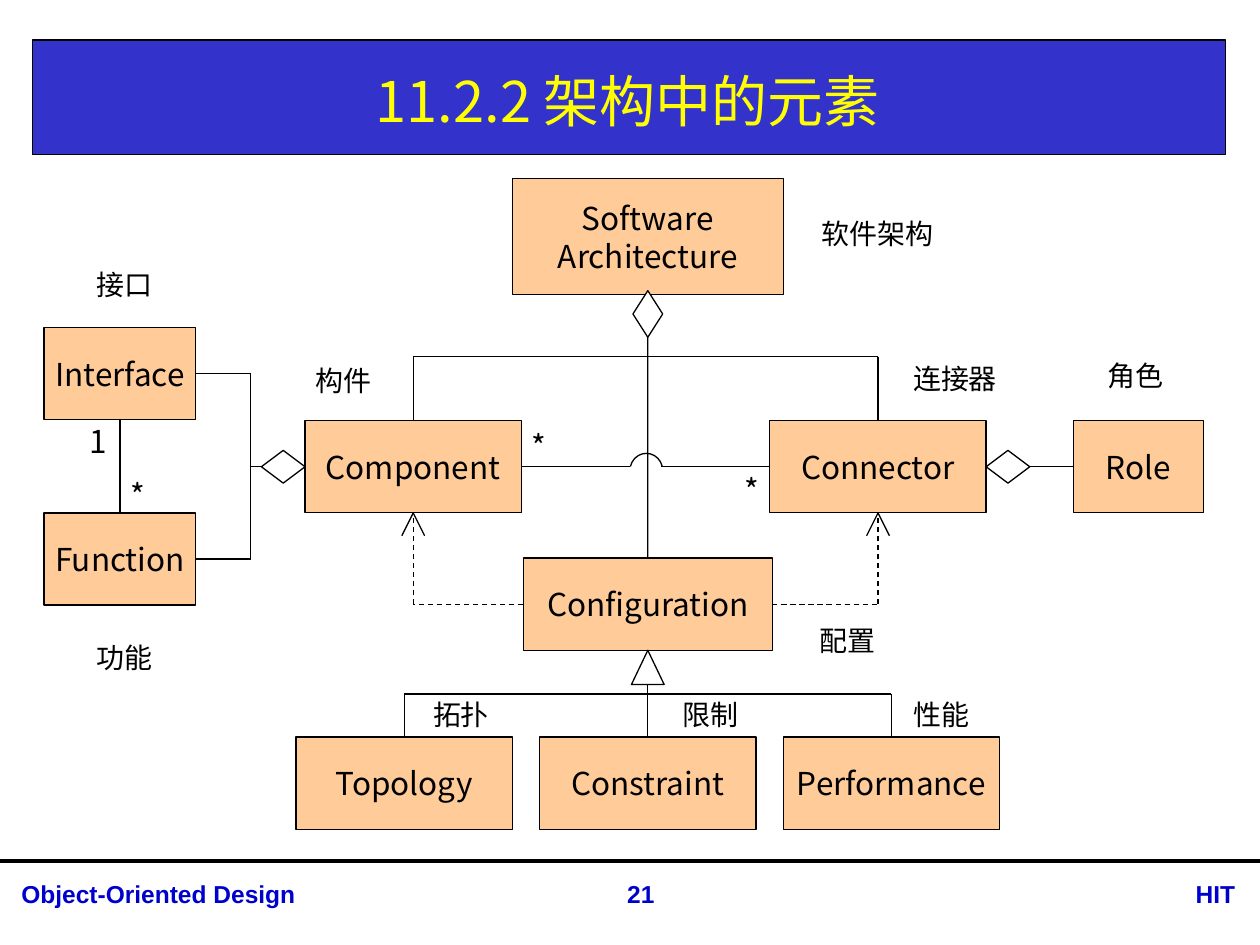
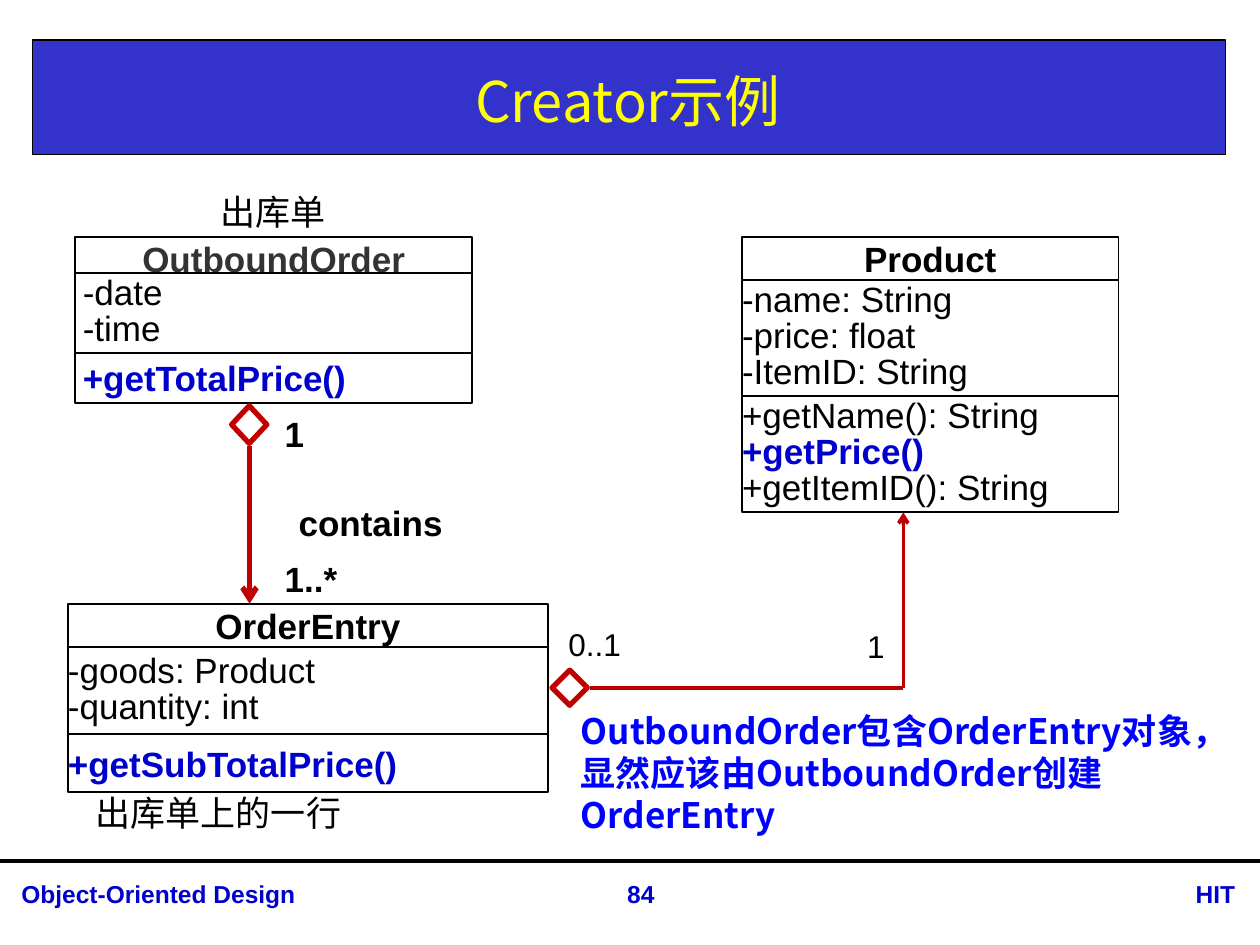
import pptx
import pptx.dml.color
import pptx.enum.dml
import pptx.enum.shapes
import pptx.enum.text
import pptx.oxml.ns
import pptx.util
from lxml import etree

Cm, Pt, qn = pptx.util.Cm, pptx.util.Pt, pptx.oxml.ns.qn
SHAPE = pptx.enum.shapes.MSO_SHAPE
ALIGN = pptx.enum.text.PP_ALIGN
ANCHOR = pptx.enum.text.MSO_ANCHOR

# ---- Shared style ----
COLORS = {"band": "3333CC", "title": "FFFF00", "footer": "0000CC", "ink": "000000",
          "box": "FFCC99", "white": "FFFFFF", "grey": "333333", "method": "0000CC",
          "note": "0000FF", "link": "C00000"}
SANS, CJK = "Arial", "Noto Sans CJK SC"
TOP, LEFT, BOTTOM, RIGHT = range(4)

# ---- Footer: text, left, width, alignment ----
FOOTER_TOP = 17.6
FOOTER = [("Object-Oriented Design", 0.18, 11.76, ALIGN.LEFT),
          ("HIT", 22.53, 2.62, ALIGN.RIGHT),
          ("{number}", 11.61, 2.62, ALIGN.CENTER)]

# ---- Architecture elements: left, top, width, height ----
BOX_H, PART_W = 1.86, 4.36
ELEMENTS = {
    "Software\nArchitecture": (10.33, 3.6, 5.46, 2.34),
    "Component": (6.15, 8.48, PART_W, BOX_H),
    "Connector": (15.52, 8.48, PART_W, BOX_H),
    "Interface": (0.89, 6.6, 3.06, BOX_H),
    "Function": (0.89, 10.34, 3.06, BOX_H),
    "Role": (21.64, 8.48, 2.62, BOX_H),
    "Configuration": (10.55, 11.25, 5.02, BOX_H),
}
for i, kind in enumerate(["Topology", "Constraint", "Performance"]):
    ELEMENTS[kind] = (5.97 + 4.91 * i, 14.86, PART_W, BOX_H)

# Routes: points are (x, y) or (element, side)
AXIS, PARTS_Y, KINDS_Y, PORTS_X = 13.06, 7.19, 13.99, 5.05
ROUTES = [
    [("Component", TOP), (8.33, PARTS_Y), (17.7, PARTS_Y), ("Connector", TOP)],
    [("Software\nArchitecture", BOTTOM), ("Configuration", TOP)],
    [("Interface", RIGHT), (PORTS_X, 7.53), (PORTS_X, 11.27), ("Function", RIGHT)],
    [(PORTS_X, 9.41), ("Component", LEFT)],
    [("Interface", BOTTOM), ("Function", TOP)],
    [(20.76, 9.41), ("Role", LEFT)],
    [("Component", RIGHT), (12.7, 9.41)],
    [(13.33, 9.41), ("Connector", LEFT)],
    [("Topology", TOP), (8.15, KINDS_Y), (17.97, KINDS_Y), ("Performance", TOP)],
    [("Configuration", BOTTOM), ("Constraint", TOP)],
]
DEPENDENCIES = [
    [("Configuration", LEFT), (8.33, 12.18), ("Component", BOTTOM)],
    [("Configuration", RIGHT), (17.7, 12.18), ("Connector", BOTTOM)],
]
MARKERS = [(SHAPE.ISOSCELES_TRIANGLE, (12.73, 13.11, 0.66, 0.69)),
           (SHAPE.DIAMOND, (12.76, 5.86, 0.6, 0.94)),
           (SHAPE.DIAMOND, (5.27, 9.08, 0.88, 0.66)),
           (SHAPE.DIAMOND, (19.88, 9.08, 0.88, 0.66))]
MULTIPLICITIES = [("1", 1.55, 8.38), ("*", 2.39, 9.47), ("*", 10.46, 8.48), ("*", 14.76, 9.37)]
TRANSLATIONS = [
    ("软件架构", 16.31, 4.24), ("接口", 1.7, 5.26), ("功能", 1.7, 12.78),
    ("构件", 6.12, 7.19), ("连接器", 18.16, 7.16), ("角色", 22.07, 7.09),
    ("配置", 16.28, 12.45), ("拓扑", 8.48, 13.94), ("限制", 13.51, 13.94),
    ("性能", 18.16, 13.94),
]

# ---- Classes: left, width, body insets, name colour, sections (top, height, lines) ----
CLASSES = [
    (14.96, 7.59, (0, 0.08), "ink", [
        (4.78, 0.86, ["Product"]),
        (5.64, 2.34, ["-name: String", "-price: float", "-ItemID: String"]),
        (7.98, 2.34, ["+getName(): String", "+getPrice()", "+getItemID(): String"])]),
    (1.52, 8, (0.15, 0.08), "grey", [
        (4.78, 0.86, ["OutboundOrder"]),
        (5.51, 1.6, ["-date", "-time"]),
        (7.11, 1.02, ["+getTotalPrice()"])]),
    (1.37, 9.68, (0, 0.15), "ink", [
        (12.17, 0.88, ["OrderEntry"]),
        (13.05, 1.75, ["-goods: Product", "-quantity: int"]),
        (14.8, 1.17, ["+getSubTotalPrice()"])]),
]
KEY_METHODS = {"+getPrice()", "+getTotalPrice()", "+getSubTotalPrice()"}
# text, position, size, bold
ROLE_LABELS = [
    ("1", (5.74, 8.31, 0.71, 0.86), 20, True),
    ("contains", (6.02, 10.11, 4.11, 1.09), 20, True),
    ("1..*", (5.74, 11.23, 2.57, 1.3), 20, True),
    ("0..1", (11.46, 12.6, 2.41, 1.02), 18, False),
    ("1", (17.48, 12.65, 0.74, 0.99), 18, False),
]
CAPTIONS = [("出库单", (4.19, 3.71, 3.07, 1.12)), ("出库单上的一行", (1.68, 15.82, 5.51, 1.12))]
NOTE = "OutboundOrder包含OrderEntry对象，显然应该由OutboundOrder创建OrderEntry"


def rgb(name):
    return pptx.dml.color.RGBColor.from_string(COLORS[name])


def style(r, size, color="ink", bold=False, font=SANS):
    r.font.size, r.font.bold, r.font.name = Pt(size), bold, font
    r.font.color.rgb = rgb(color)
    etree.SubElement(r.font._element, qn("a:ea")).set("typeface", font)


def write(sp, text, size, color="ink", bold=False, font=SANS, align=ALIGN.LEFT,
          anchor=ANCHOR.TOP, insets=(0.25, 0.13), wrap=True):
    tf = sp.text_frame
    tf.text = text
    tf.word_wrap, tf.vertical_anchor = wrap, anchor
    tf.auto_size = pptx.enum.text.MSO_AUTO_SIZE.NONE
    tf.margin_left = tf.margin_right = Cm(insets[0])
    tf.margin_top = tf.margin_bottom = Cm(insets[1])
    for p in tf.paragraphs:
        p.alignment = align
        for r in p.runs:
            style(r, size, color, bold, font)
    return tf


def add_text(s, text, at, size, **options):
    return write(s.shapes.add_textbox(*map(Cm, at)), text, size, **options)


def add_box(s, at, fill, kind=SHAPE.RECTANGLE, line="ink", width=0.75):
    sp = s.shapes.add_shape(kind, *map(Cm, at))
    sp.shadow.inherit = False
    sp.fill.solid()
    sp.fill.fore_color.rgb = rgb(fill)
    if line:
        sp.line.color.rgb, sp.line.width = rgb(line), Pt(width)
    else:
        sp.line.fill.background()
    return sp


def side_point(name, side):
    x, y, w, h = ELEMENTS[name]
    return [(x + w / 2, y), (x, y + h / 2), (x + w / 2, y + h), (x + w, y + h / 2)][side]


def add_route(s, points, boxes=None, color="ink", width=0.75, dashed=False, arrow=False):
    """Join the points with straight lines, glued to any boxes they name."""
    for start, end in zip(points, points[1:]):
        ends = [side_point(*pt) if isinstance(pt[0], str) else pt for pt in (start, end)]
        cn = s.shapes.add_connector(pptx.enum.shapes.MSO_CONNECTOR.STRAIGHT,
                                    *[Cm(v) for pt in ends for v in pt])
        if isinstance(start[0], str):
            cn.begin_connect(boxes[start[0]], start[1])
        if isinstance(end[0], str):
            cn.end_connect(boxes[end[0]], end[1])
        cn.line.color.rgb, cn.line.width = rgb(color), Pt(width)
        if dashed:
            cn.line.dash_style = pptx.enum.dml.MSO_LINE.DASH
        if arrow and end is points[-1]:
            etree.SubElement(cn.line._get_or_add_ln(), qn("a:tailEnd")).set("type", "arrow")
        etree.SubElement(cn._element.spPr, qn("a:effectLst"))


def add_slide(prs, title, number):
    s = prs.slides.add_slide(prs.slide_layouts[5])
    add_box(s, (0.66, 0.81, 24.05, 2.31), "band")
    add_route(s, [(0, 17.35), (25.4, 17.35)], width=2.25)
    for text, left, width, align in FOOTER:
        add_text(s, text.format(number=number), (left, FOOTER_TOP, width, 0.86), 14,
                 color="footer", bold=True, align=align)
    sp = s.shapes.title
    sp.left, sp.top, sp.width, sp.height = map(Cm, (0.66, 0.91, 24, 2.21))
    write(sp, title, 32, color="title", font=CJK, align=ALIGN.CENTER, anchor=ANCHOR.MIDDLE)
    s.shapes.element.append(sp._element)  # bring the title in front of its band
    return s


def build_architecture(prs):
    s = add_slide(prs, "11.2.2 架构中的元素", 21)
    # Line hop: a circle whose lower half is covered
    add_box(s, (12.7, 9.14, 0.66, 0.69), "white", SHAPE.OVAL)
    add_box(s, (12.47, 9.41, 1.32, 0.92), "white", line=None)
    # Elements and their relations
    boxes = {}
    for name, at in ELEMENTS.items():
        boxes[name] = add_box(s, at, "box")
        write(boxes[name], name, 18, font=CJK, align=ALIGN.CENTER,
              anchor=ANCHOR.MIDDLE, wrap=False)
    for points in ROUTES:
        add_route(s, points, boxes)
    for points in DEPENDENCIES:
        add_route(s, points, boxes, dashed=True)
        x, y = side_point(*points[-1])
        add_route(s, [(x - 0.23, y + 0.46), (x, y), (x + 0.23, y + 0.46)])
    for kind, at in MARKERS:
        add_box(s, at, "white", kind)
    # Labels
    for text, x, y in MULTIPLICITIES:
        add_text(s, text, (x, y, 1.24, 1.02), 18, font=CJK)
    for text, x, y in TRANSLATIONS:
        add_text(s, text, (x, y, 0.51 + 0.57 * len(text), 0.94), 16, font=CJK, wrap=False)


def build_creator(prs):
    s = add_slide(prs, "Creator示例", 84)
    # Class boxes
    for left, width, insets, name_color, sections in CLASSES:
        for i, (top, height, lines) in enumerate(sections):
            sp = add_box(s, (left, top, width, height), "white", width=1)
            if i == 0:
                write(sp, lines[0], 20, color=name_color, bold=True, align=ALIGN.CENTER,
                      anchor=ANCHOR.MIDDLE, insets=(0, 0))
                continue
            tf = write(sp, "\n".join(lines), 20, anchor=ANCHOR.MIDDLE, insets=insets)
            for p in tf.paragraphs:
                if len(lines) > 1:
                    p.line_spacing = 0.85
                if p.text in KEY_METHODS:
                    p.runs[0].font.bold = True
                    p.runs[0].font.color.rgb = rgb("method")
    # Aggregations
    add_route(s, [(5.03, 8.99), (5.03, 12.17)], color="link", width=3, arrow=True)
    add_route(s, [(11.89, 13.87), (18.21, 13.87), (18.21, 10.33)],
              color="link", width=2, arrow=True)
    for at in [(4.67, 8.18, 0.71, 0.76), (11.13, 13.51, 0.71, 0.71)]:
        add_box(s, at, "white", SHAPE.DIAMOND, "link", 3)
    # Labels, captions and conclusion
    for text, at, size, bold in ROLE_LABELS:
        add_text(s, text, at, size, bold=bold, insets=(0, 0))
    for text, at in CAPTIONS:
        add_text(s, text, at, 20, font=CJK, anchor=ANCHOR.MIDDLE, wrap=False)
    add_text(s, NOTE, (11.46, 14.17, 13.21, 2.82), 20, color="note", bold=True, font=CJK)


def main():
    prs = pptx.Presentation()
    prs.slide_width, prs.slide_height = Cm(25.4), Cm(19.05)
    build_architecture(prs)
    build_creator(prs)
    prs.save("out.pptx")


if __name__ == "__main__":
    main()
